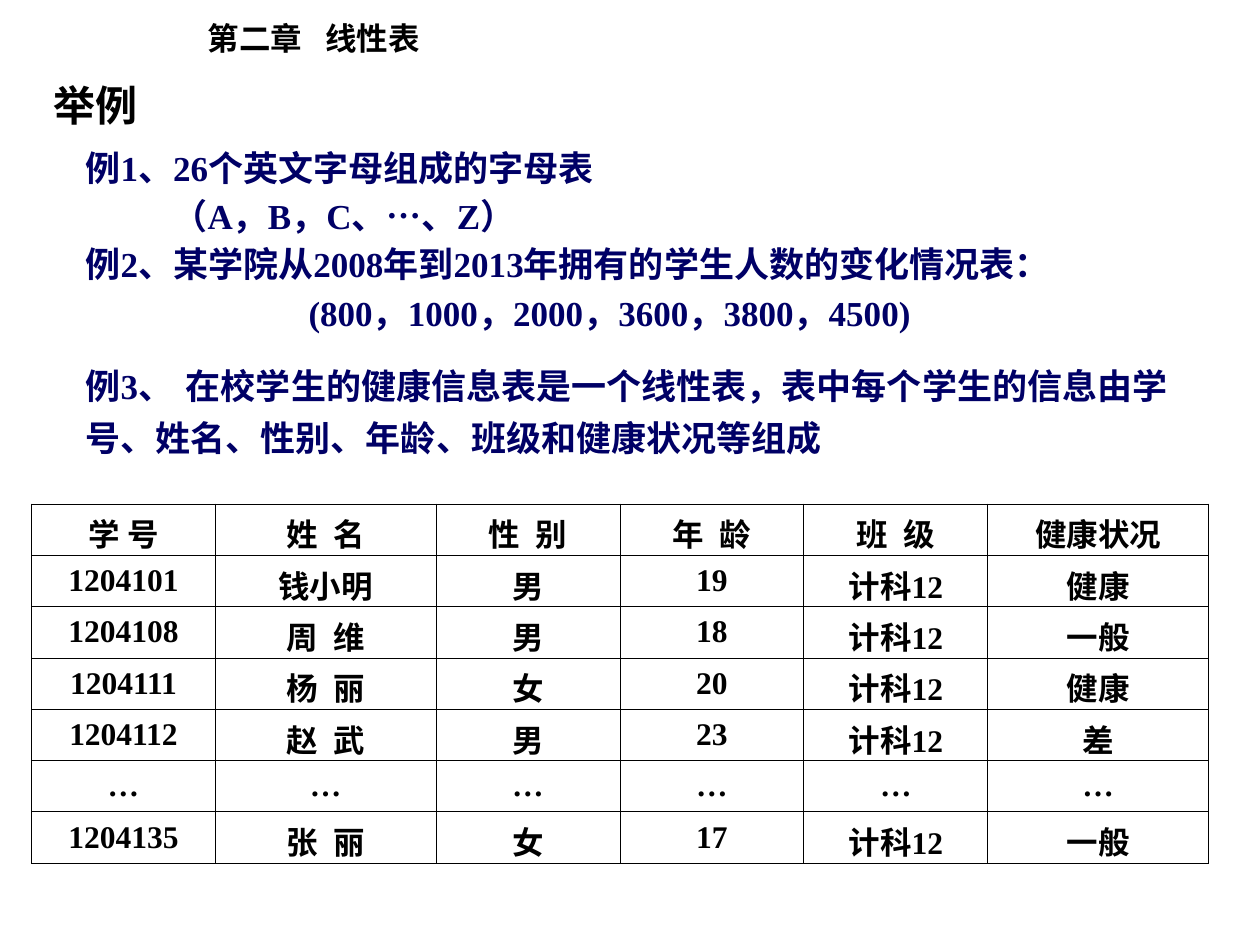
from dataclasses import dataclass
from typing import Any

import lxml.etree
import pptx
import pptx.dml.color
import pptx.enum.text
import pptx.oxml.ns
import pptx.util

Inches = pptx.util.Inches
Pt = pptx.util.Pt
qn = pptx.oxml.ns.qn

FONT = "Times New Roman"
COLORS = {"black": "000000", "navy": "000066"}


@dataclass(frozen=True)
class Run:
    text: str
    size: float
    color: str = "black"
    spacing: float = 0


@dataclass(frozen=True)
class Line:
    runs: tuple[Run, ...]
    indent: float = 0


@dataclass(frozen=True)
class Label:
    left: float
    top: float
    width: float
    height: float
    runs: tuple[Run, ...]


LABELS = (
    Label(1.55, 0.1, 1.92, 0.7,
          (Run("第二章", 18), Run(" ", 18, spacing=9), Run("线性表", 18))),
    Label(0.33, 0.58, 1.08, 0.5, (Run("举例", 24),)),
)

EXAMPLES = (
    Line((Run("例1、26个英文字母组成的字母表", 20, "navy"),)),
    Line((Run("（A，B，C、…、Z）", 20, "navy"),), 0.69),
    Line((Run("例2、某学院从2008年到2013年拥有的学生人数的变化情况表：", 20, "navy"),)),
    Line((Run("(800，1000，2000，3600，3800，4500)", 20, "navy"),), 1.77),
    Line((
        Run("例3、", 20, "navy"),
        Run(" ", 32),
        Run("在校学生的健康信息表是一个线性表，表中每个学生的信息由"
            "学号、姓名、性别、年龄、班级和健康状况等组成", 20, "navy"),
    )),
)

COLUMN_WIDTHS = (1.46, 1.75, 1.46, 1.46, 1.46, 1.75)
ROW_HEIGHT = 2.85 / 7
STUDENTS = (
    ("学 号", "姓 名", "性 别", "年 龄", "班 级", "健康状况"),
    ("1204101", "钱小明", "男", "19", "计科12", "健康"),
    ("1204108", "周 维", "男", "18", "计科12", "一般"),
    ("1204111", "杨 丽", "女", "20", "计科12", "健康"),
    ("1204112", "赵 武", "男", "23", "计科12", "差"),
    ("…",) * 6,
    ("1204135", "张 丽", "女", "17", "计科12", "一般"),
)


def add_runs(p: Any, runs: tuple[Run, ...]) -> None:
    for run in runs:
        r = p.add_run()
        r.text = run.text
        r.font.name = FONT
        r.font.size = Pt(run.size)
        r.font.bold = True
        r.font.color.rgb = pptx.dml.color.RGBColor.from_string(COLORS[run.color])
        if run.spacing:
            r.font._element.set("spc", str(round(run.spacing * 100)))


def add_label(slide: Any, label: Label) -> None:
    sp = slide.shapes.add_textbox(Inches(label.left), Inches(label.top),
                                  Inches(label.width), Inches(label.height))
    sp.text_frame.word_wrap = True
    add_runs(sp.text_frame.paragraphs[0], label.runs)


def add_examples(slide: Any) -> None:
    sp = slide.shapes.add_textbox(Inches(0.58), Inches(1), Inches(8.92), Inches(2.75))
    tf = sp.text_frame
    tf.word_wrap = True
    tf.vertical_anchor = pptx.enum.text.MSO_ANCHOR.MIDDLE
    for i, line in enumerate(EXAMPLES):
        p = tf.add_paragraph() if i else tf.paragraphs[0]
        p.line_spacing = 1.15
        if line.indent:
            p._p.get_or_add_pPr().set("marL", str(Inches(line.indent)))
        add_runs(p, line.runs)


def cell_runs(text: str, column: int) -> tuple[Run, ...]:
    """Widen the gap between two characters, except in the first column."""
    first, gap, last = text.partition(" ")
    if not gap or column == 0:
        return (Run(text, 18),)
    return Run(first, 18), Run(gap, 18, spacing=4.5), Run(last, 18)


def add_borders(cell: Any) -> None:
    tc_pr = cell._tc.get_or_add_tcPr()
    for i, side in enumerate(("a:lnL", "a:lnR", "a:lnT", "a:lnB")):
        ln = lxml.etree.Element(qn(side), w=str(Pt(0.45)))
        fill = lxml.etree.SubElement(ln, qn("a:solidFill"))
        lxml.etree.SubElement(fill, qn("a:srgbClr"), val=COLORS["black"])
        tc_pr.insert(i, ln)


def add_student_table(slide: Any) -> None:
    frame = slide.shapes.add_table(
        len(STUDENTS), len(COLUMN_WIDTHS), Inches(0.25), Inches(4),
        Inches(sum(COLUMN_WIDTHS)), Inches(ROW_HEIGHT * len(STUDENTS)))
    table = frame.table
    table.first_row = False
    table.horz_banding = False
    for column, width in zip(table.columns, COLUMN_WIDTHS):
        column.width = Inches(width)
    for i, texts in enumerate(STUDENTS):
        table.rows[i].height = Inches(ROW_HEIGHT)
        for j, text in enumerate(texts):
            cell = table.cell(i, j)
            cell.fill.background()
            cell.vertical_anchor = pptx.enum.text.MSO_ANCHOR.MIDDLE
            add_borders(cell)
            p = cell.text_frame.paragraphs[0]
            p.alignment = pptx.enum.text.PP_ALIGN.CENTER
            add_runs(p, cell_runs(text, j))


def main() -> None:
    prs = pptx.Presentation()
    prs.slide_width = Inches(10)
    prs.slide_height = Inches(7.5)
    slide = prs.slides.add_slide(prs.slide_layouts[6])
    for label in LABELS:
        add_label(slide, label)
    add_examples(slide)
    add_student_table(slide)
    prs.save("out.pptx")


if __name__ == "__main__":
    main()
